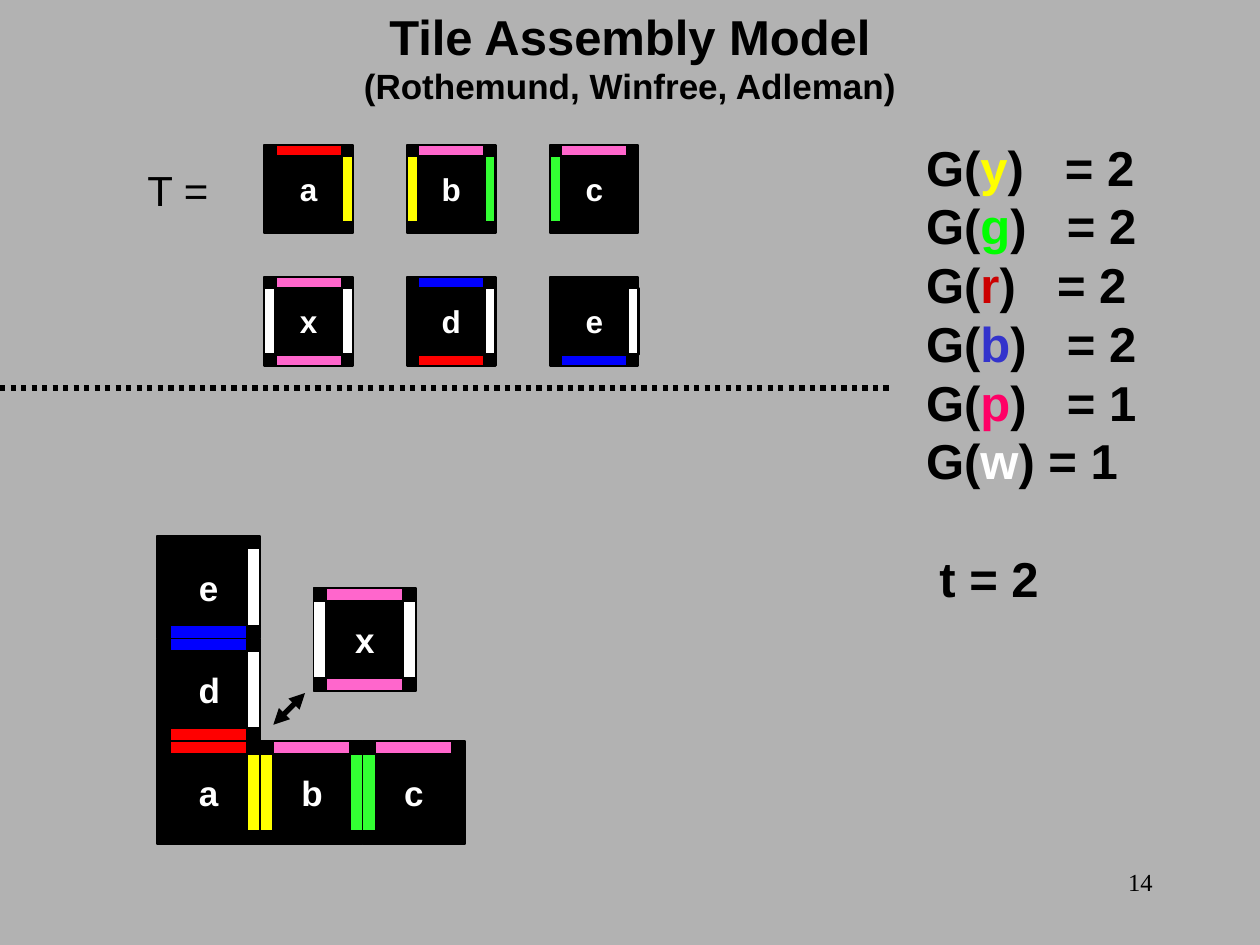
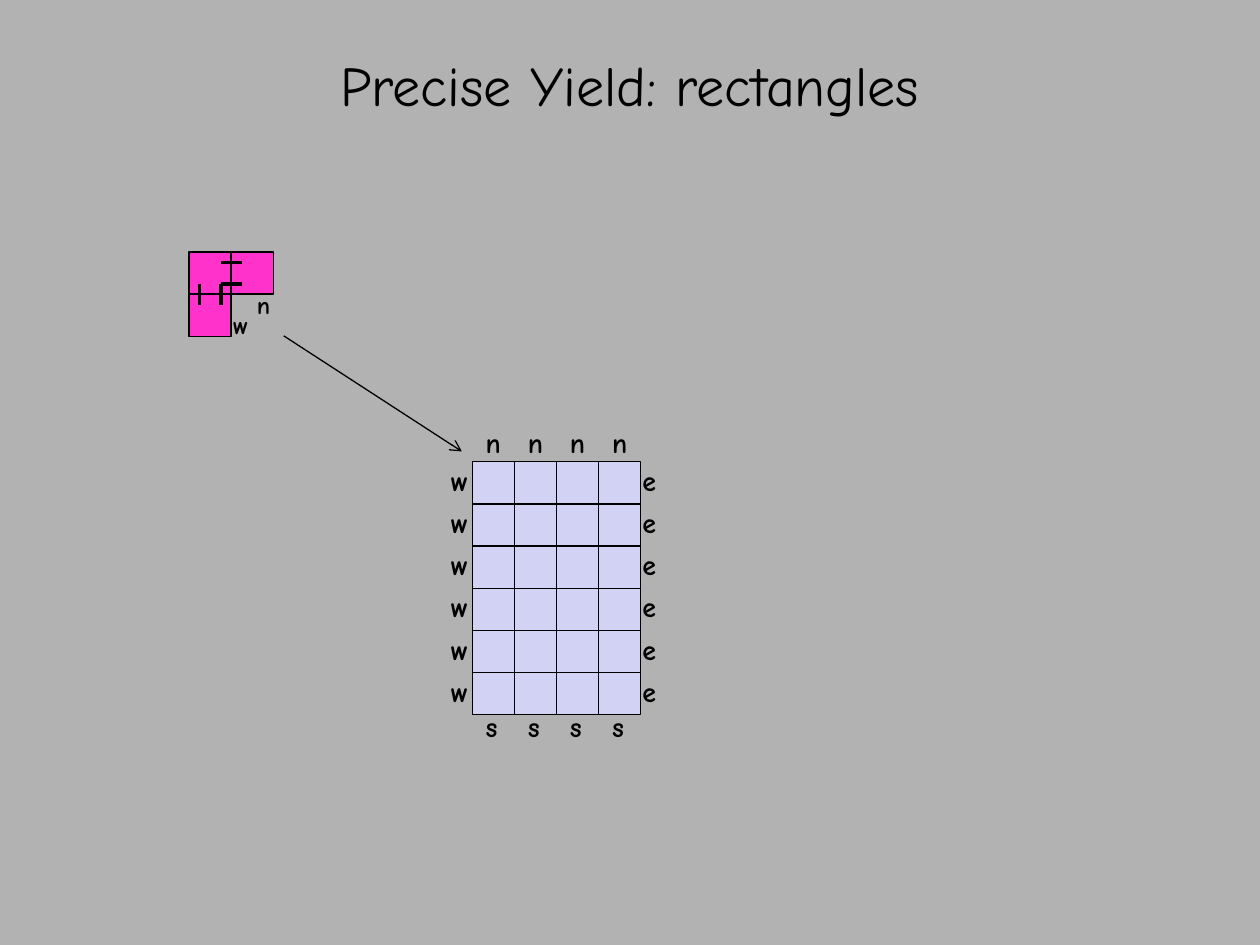
from dataclasses import dataclass

import pptx
import pptx.dml.color
import pptx.enum.dml
import pptx.enum.shapes
import pptx.enum.text
import pptx.util
from lxml import etree
from pptx.oxml.ns import qn

Cm = pptx.util.Cm
Pt = pptx.util.Pt
ALIGN = pptx.enum.text.PP_ALIGN


@dataclass(frozen=True)
class Theme:
    background: str = "B2B2B2"
    ink: str = "000000"
    paper: str = "FFFFFF"
    grid_cell: str = "D2D2F4"
    corner_cell: str = "FF33CC"
    sans: str = "Arial"
    hand: str = "Comic Neue"
    serif: str = "Times New Roman"
    heading: int = 28
    subheading: int = 20
    hand_title: int = 32
    equation: int = 24
    tile_letter: int = 18
    large_letter: int = 20
    side_letter: int = 16
    small: int = 14
    leading: float = 1.2


THEME = Theme()
SLIDE_WIDTH, SLIDE_HEIGHT = 25.4, 19.05

GLUE_COLORS = {"y": "FFFF00", "g": "33FF33", "r": "FF0000",
               "b": "0000FF", "p": "FF66CC", "w": "FFFFFF"}

# Glues of each tile type, by side
TILES = {
    "a": {"top": "r", "right": "y"},
    "b": {"left": "y", "top": "p", "right": "g"},
    "c": {"left": "g", "top": "p"},
    "x": {"left": "w", "top": "p", "bottom": "p", "right": "w"},
    "d": {"right": "w", "bottom": "r", "top": "b"},
    "e": {"right": "w", "bottom": "b"},
}

# Glue, letter colour, strength, tab stop of the equals sign (cm)
STRENGTHS = [
    ("y", "FFFF00", 2, 2.8),
    ("g", "00FF00", 2, 2.84),
    ("r", "CC0000", 2, 2.64),
    ("b", "3333CC", 2, 2.84),
    ("p", "FF0066", 1, 2.84),
    ("w", "FFFFFF", 1, None),
]


def rgb(color):
    return pptx.dml.color.RGBColor.from_string(color)


def add_slide(deck):
    slide = deck.slides.add_slide(deck.slide_layouts[6])
    slide.background.fill.solid()
    slide.background.fill.fore_color.rgb = rgb(THEME.background)
    return slide


def style_run(run, font, size, color, bold):
    run.font.name = font
    run.font.size = Pt(size)
    run.font.color.rgb = rgb(color)
    run.font.bold = bold


def add_frame(slide, left, top, width, height, inset=True, wrap=False):
    box = slide.shapes.add_textbox(Cm(left), Cm(top), Cm(width), Cm(height))
    frame = box.text_frame
    frame.word_wrap = wrap
    if not inset:
        frame.margin_left = frame.margin_right = 0
        frame.margin_top = frame.margin_bottom = 0
    return frame


def set_line(paragraph, text, font, size, color=THEME.ink, bold=False, align=None):
    paragraph.text = text
    paragraph.alignment = align
    if font == THEME.sans:
        paragraph.line_spacing = Pt(size * THEME.leading)
    for run in paragraph.runs:
        style_run(run, font, size, color, bold)


def add_label(slide, text, left, top, width, height, font, size, **look):
    frame = add_frame(slide, left, top, width, height)
    set_line(frame.paragraphs[0], text, font, size, **look)


def add_box(slide, left, top, width, height, color, weight):
    box = slide.shapes.add_shape(pptx.enum.shapes.MSO_SHAPE.RECTANGLE,
                                 Cm(left), Cm(top), Cm(width), Cm(height))
    box.shadow.inherit = False
    box.fill.solid()
    box.fill.fore_color.rgb = rgb(color)
    box.line.color.rgb = rgb(THEME.ink)
    box.line.width = Pt(weight)


def add_line(slide, start, end, weight, dash=None, head=None, tail=None):
    line = slide.shapes.add_connector(
        pptx.enum.shapes.MSO_CONNECTOR.STRAIGHT,
        Cm(start[0]), Cm(start[1]), Cm(end[0]), Cm(end[1]))
    line.line.color.rgb = rgb(THEME.ink)
    line.line.width = Pt(weight)
    if dash:
        line.line.dash_style = dash
    properties = line._element.spPr
    outline = properties.find(qn("a:ln"))
    for tag, arrow in (("a:headEnd", head), ("a:tailEnd", tail)):
        if arrow:
            etree.SubElement(outline, qn(tag), type=arrow)
    etree.SubElement(properties, qn("a:effectLst"))


def add_tile(slide, name, left, top, size, letter_size, weight):
    """Black tile with a coloured glue strip on each sticky side."""
    add_box(slide, left, top, size, size, THEME.ink, weight)
    depth, length = size * 0.125, size * 0.75
    inset, far = (size - length) / 2, size - depth
    strips = {"left": (0, inset, depth, length),
              "right": (far, inset, depth, length),
              "top": (inset, 0, length, depth),
              "bottom": (inset, far, length, depth)}
    for side, glue in TILES[name].items():
        x, y, width, height = strips[side]
        add_box(slide, left + x, top + y, width, height,
                GLUE_COLORS[glue], weight)


def add_tile_letter(slide, name, left, top, size, letter_size, weight):
    width, height = 0.4, letter_size * THEME.leading * 2.54 / 72
    frame = add_frame(slide, left + (size - width) / 2,
                      top + (size - height) / 2, width, height, inset=False)
    set_line(frame.paragraphs[0], name, THEME.sans, letter_size,
             THEME.paper, bold=True, align=ALIGN.CENTER)


def add_tiles(slide, places, size, letter_size, weight):
    for add_part in (add_tile, add_tile_letter):
        for name, (left, top) in places.items():
            add_part(slide, name, left, top, size, letter_size, weight)


def add_strengths(slide):
    frame = add_frame(slide, 18.42, 2.64, 5.28, 9.75, wrap=True)
    size = THEME.heading
    for index, (glue, color, strength, stop) in enumerate(STRENGTHS):
        line = frame.paragraphs[0] if index == 0 else frame.add_paragraph()
        line.line_spacing = Pt(size * THEME.leading)
        if stop:
            tabs = etree.SubElement(line._p.get_or_add_pPr(), qn("a:tabLst"))
            etree.SubElement(tabs, qn("a:tab"), pos=str(Cm(stop)), algn="l")
        gap = "\t" if stop else " "
        parts = (("G(", THEME.ink), (glue, color),
                 (f"){gap}= {strength}", THEME.ink))
        for text, part_color in parts:
            run = line.add_run()
            run.text = text
            style_run(run, THEME.sans, size, part_color, True)

    temperature = frame.add_paragraph()
    set_line(temperature, "t = 2", THEME.sans, size, bold=True)
    temperature.space_before = Pt(size * THEME.leading)
    temperature._p.get_or_add_pPr().set("marL", str(Cm(0.27)))


def build_tile_model(deck):
    slide = add_slide(deck)

    # Title and page number
    title = add_frame(slide, 0, 0, SLIDE_WIDTH, 3.48, wrap=True)
    set_line(title.paragraphs[0], "Tile Assembly Model", THEME.sans,
             THEME.heading, bold=True, align=ALIGN.CENTER)
    set_line(title.add_paragraph(), "(Rothemund, Winfree, Adleman)",
             THEME.sans, THEME.subheading, bold=True, align=ALIGN.CENTER)
    add_label(slide, "14", 18.21, 17.35, 5.28, 1.27, THEME.serif,
              THEME.small, align=ALIGN.RIGHT)

    # Tile set
    add_label(slide, "T =", 2.72, 3.2, 2.24, 1.27, THEME.sans, THEME.equation)
    tile_set = {name: (5.33 + 2.88 * column, 2.92 + 2.67 * row)
                for row, names in enumerate(("abc", "xde"))
                for column, name in enumerate(names)}
    add_tiles(slide, tile_set, 1.78, THEME.tile_letter, 1.25)
    add_strengths(slide)
    add_line(slide, (0, 7.82), (17.98, 7.82), 3,
             dash=pptx.enum.dml.MSO_LINE.ROUND_DOT)

    # Assembly with one tile about to attach
    size, left, top = 2.07, 3.17, 10.8
    assembly = {name: (left, top + size * row)
                for row, name in enumerate("eda")}
    assembly |= {name: (left + size * column, top + size * 2)
                 for column, name in enumerate("bc", 1)}
    assembly["x"] = (6.32, 11.86)
    add_tiles(slide, assembly, size, THEME.large_letter, 1)
    add_line(slide, (6.15, 13.97), (5.51, 14.61), 3,
             head="triangle", tail="triangle")


def build_rectangles(deck):
    slide = add_slide(deck)
    cell = 0.85

    # Title
    title = add_frame(slide, 0, 0, SLIDE_WIDTH, 3.4, wrap=True)
    title.vertical_anchor = pptx.enum.text.MSO_ANCHOR.MIDDLE
    set_line(title.paragraphs[0], "Precise Yield: rectangles", THEME.hand,
             THEME.hand_title, align=ALIGN.CENTER)

    # Rectangle of cells
    columns, rows, left, top = 4, 6, 9.52, 9.31
    for row in range(rows):
        for column in range(columns):
            add_box(slide, left + cell * column, top + cell * row,
                    cell, cell, THEME.grid_cell, 0.75)

    # Side letters
    letters = [(side, left + 0.02 + cell * column, y)
               for side, y in (("n", 8.46), ("s", 14.17))
               for column in range(columns)]
    letters += [(side, x, top - 0.09 + cell * row)
                for side, x in (("e", 12.7), ("w", 8.84))
                for row in range(rows)]
    for side, x, y in letters:
        width = 0.91 if side == "w" else 0.81
        add_label(slide, side, x, y, width, 0.94, THEME.hand,
                  THEME.side_letter, bold=True)

    # Corner piece
    corner_left, corner_top = 3.81, 5.08
    for column, row in ((0, 0), (1, 0), (0, 1)):
        add_box(slide, corner_left + cell * column, corner_top + cell * row,
                cell, cell, THEME.corner_cell, 0.75)

    # Bonds: a half mark on each side of the shared edges
    half = cell / 4
    seam_x, seam_y = corner_left + cell, corner_top + cell
    for offset in (half, 3 * half):
        for reach in (-half, half):
            x, y = corner_left + offset, corner_top + offset
            add_line(slide, (seam_x, y), (seam_x + reach, y), 2.25)
            add_line(slide, (x, seam_y), (x, seam_y + reach), 2.25)

    # Open sides of the corner and its place in the rectangle
    for side, x, y in (("n", 4.93, 5.72), ("w", 4.45, 6.12)):
        add_label(slide, side, x, y, 0.81, 0.86, THEME.hand,
                  THEME.small, bold=True)
    add_line(slide, (5.72, 6.77), (9.31, 9.1), 0.75, tail="arrow")


def main():
    deck = pptx.Presentation()
    deck.slide_width, deck.slide_height = Cm(SLIDE_WIDTH), Cm(SLIDE_HEIGHT)
    build_tile_model(deck)
    build_rectangles(deck)
    deck.save("out.pptx")


if __name__ == "__main__":
    main()
